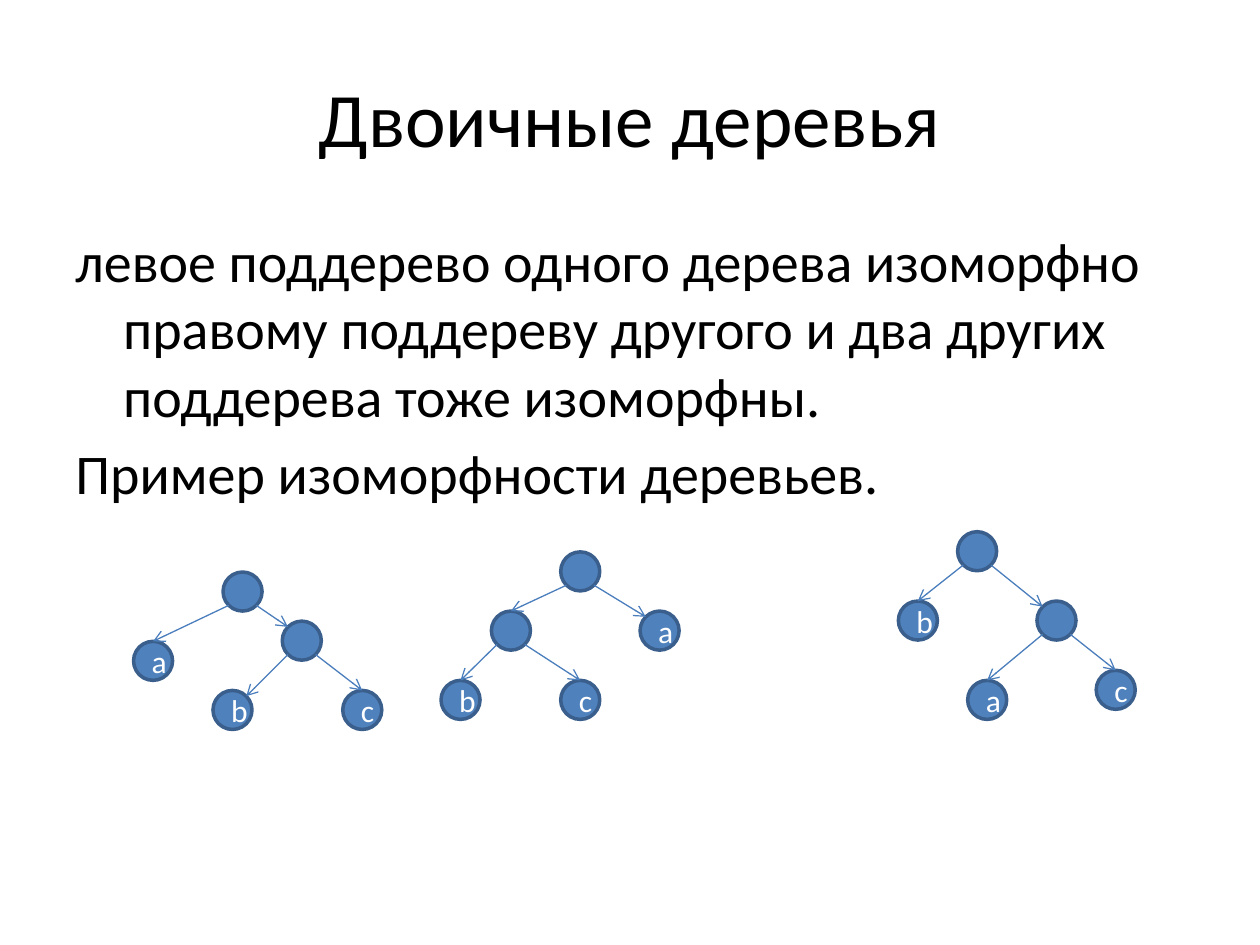
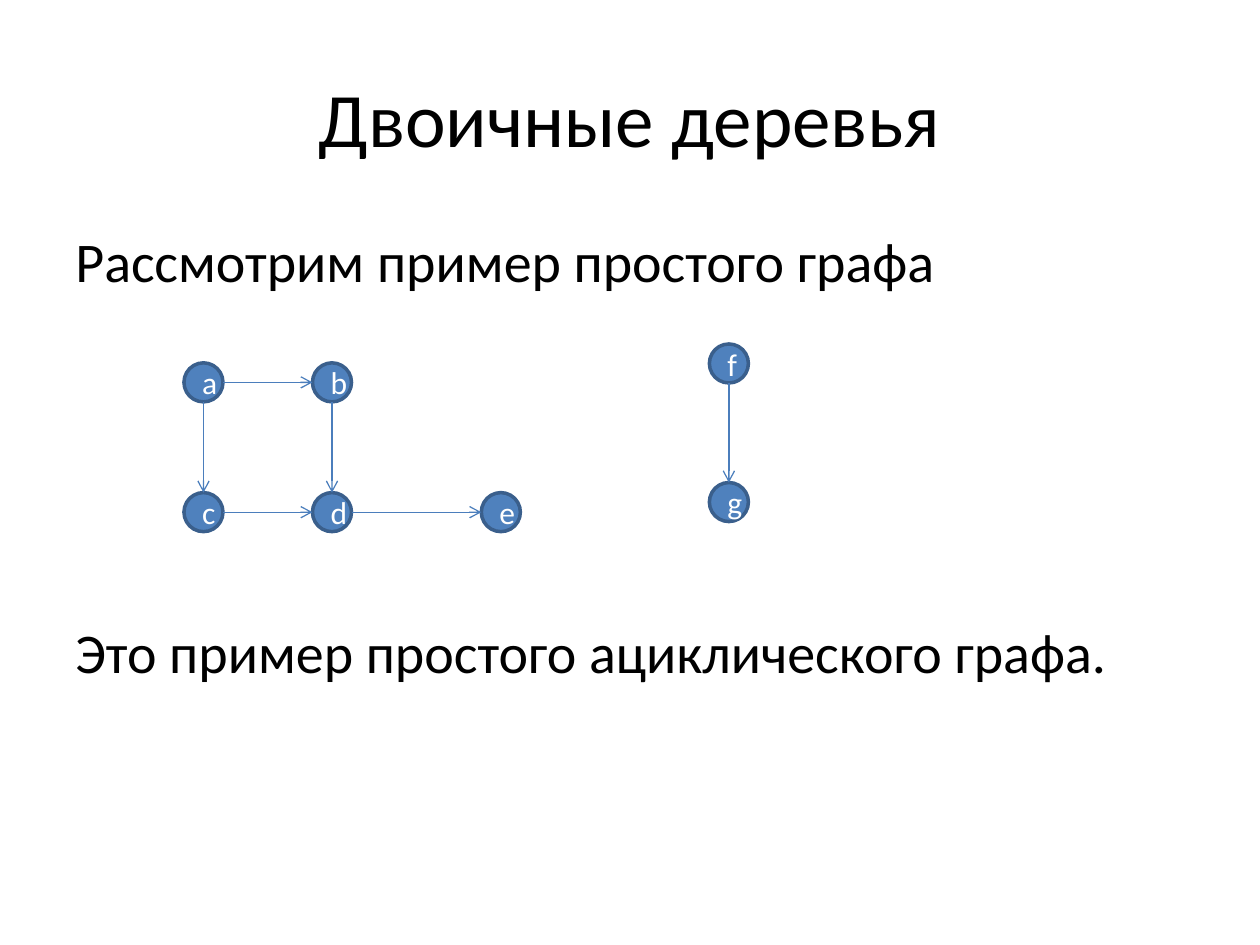
import math

from lxml import etree
from pptx import Presentation
from pptx import util as u
from pptx.dml.color import RGBColor
from pptx.enum import shapes, text
from pptx.oxml import ns

COLORS = {"text": "000000", "label": "FFFFFF", "node": "4F81BD",
          "outline": "3A5F8C", "edge": "4B7EBC"}
FONT = "Calibri"
TITLE = "Двоичные деревья"
DIAMETER = 0.31
HANGING = 0.38
PARAGRAPH_GAP = 6
DIAGRAM_GAP = 185

# Directions from a node's centre, in units of its radius
DIAGONAL = math.sqrt(0.5)
SITES = {
    "top": (0, -1), "bottom": (0, 1), "left": (-1, 0), "right": (1, 0),
    "top left": (-DIAGONAL, -DIAGONAL), "top right": (DIAGONAL, -DIAGONAL),
    "bottom left": (-DIAGONAL, DIAGONAL), "bottom right": (DIAGONAL, DIAGONAL),
}

# Each graph: nodes as name -> (left, top), edges as (start, site, end, site).
# Names of one letter are shown as labels.
SLIDES = [
    {
        "paragraphs": [
            ("левое поддерево одного дерева изоморфно правому поддереву "
             "другого и два других поддерева тоже изоморфны.", PARAGRAPH_GAP),
            ("Пример изоморфности деревьев.", PARAGRAPH_GAP),
        ],
        "graphs": [
            ({"root": (1.77, 4.54), "a": (1.06, 5.09), "inner": (2.24, 4.93),
              "c": (2.72, 5.48), "b": (1.69, 5.48)},
             [("root", "bottom left", "a", "top"),
              ("root", "bottom right", "inner", "top left"),
              ("inner", "bottom right", "c", "top"),
              ("inner", "bottom left", "b", "top right")]),
            ({"a": (5.08, 4.85), "c": (4.45, 5.4), "b": (3.5, 5.4),
              "inner": (3.9, 4.85), "root": (4.45, 4.38)},
             [("root", "bottom left", "inner", "top"),
              ("inner", "bottom left", "b", "top"),
              ("inner", "bottom right", "c", "top"),
              ("root", "bottom right", "a", "top left")]),
            ({"c": (8.7, 5.32), "a": (7.68, 5.4), "inner": (8.23, 4.77),
              "b": (7.13, 4.77), "root": (7.6, 4.22)},
             [("root", "bottom left", "b", "top"),
              ("root", "bottom right", "inner", "top left"),
              ("inner", "bottom left", "a", "top"),
              ("inner", "bottom right", "c", "top")]),
        ],
    },
    {
        "paragraphs": [
            ("Рассмотрим пример простого графа", PARAGRAPH_GAP),
            ("Это пример простого ациклического графа.", DIAGRAM_GAP),
        ],
        "graphs": [
            ({"a": (1.46, 2.88), "b": (2.48, 2.88), "c": (1.46, 3.91),
              "d": (2.48, 3.91), "e": (3.82, 3.91)},
             [("a", "bottom", "c", "top"), ("a", "right", "b", "left"),
              ("b", "bottom", "d", "top"), ("c", "right", "d", "left"),
              ("d", "right", "e", "left")]),
            ({"g": (5.63, 3.83), "f": (5.63, 2.73)},
             [("f", "bottom", "g", "top")]),
        ],
    },
]


def rgb(name):
    return RGBColor.from_string(COLORS[name])


def write(paragraph, words, size, color="text", align=text.PP_ALIGN.LEFT,
          before=0, hanging=0):
    paragraph.alignment = align
    paragraph.space_before = u.Pt(before)
    if hanging:
        properties = paragraph._p.get_or_add_pPr()
        properties.set("marL", str(u.Inches(hanging)))
        properties.set("indent", str(-u.Inches(hanging)))
    run = paragraph.add_run()
    run.text = words
    run.font.size = u.Pt(size)
    run.font.name = FONT
    run.font.color.rgb = rgb(color)


def add_frame(slide, left, top, width, height, anchor):
    box = slide.shapes.add_textbox(*map(u.Inches, (left, top, width, height)))
    frame = box.text_frame
    frame.word_wrap = True
    frame.vertical_anchor = anchor
    return frame


def add_title(slide):
    frame = add_frame(slide, 0.5, 0.3, 9, 1.25, text.MSO_ANCHOR.MIDDLE)
    write(frame.paragraphs[0], TITLE, 44, align=text.PP_ALIGN.CENTER)


def add_body(slide, paragraphs):
    frame = add_frame(slide, 0.5, 1.75, 9, 4.95, text.MSO_ANCHOR.TOP)
    for index, (words, before) in enumerate(paragraphs):
        paragraph = frame.add_paragraph() if index else frame.paragraphs[0]
        write(paragraph, words, 32, before=before, hanging=HANGING)


def add_node(slide, name, left, top):
    node = slide.shapes.add_shape(
        shapes.MSO_SHAPE.OVAL,
        *map(u.Inches, (left, top, DIAMETER, DIAMETER)))
    node.shadow.inherit = False
    node.fill.solid()
    node.fill.fore_color.rgb = rgb("node")
    node.line.color.rgb = rgb("outline")
    node.line.width = u.Pt(2)
    if len(name) == 1:
        node.text_frame.word_wrap = True
        node.text_frame.vertical_anchor = text.MSO_ANCHOR.MIDDLE
        write(node.text_frame.paragraphs[0], name, 18, color="label",
              align=text.PP_ALIGN.CENTER)


def site_point(position, site):
    radius = DIAMETER / 2
    return [u.Inches(edge + radius * (1 + direction))
            for edge, direction in zip(position, SITES[site])]


def add_edge(slide, start, end):
    edge = slide.shapes.add_connector(
        shapes.MSO_CONNECTOR.STRAIGHT, *start, *end)
    edge.line.color.rgb = rgb("edge")
    edge.line.width = u.Pt(0.75)
    arrowhead = etree.SubElement(edge.line._get_or_add_ln(), ns.qn("a:tailEnd"))
    arrowhead.set("type", "arrow")
    etree.SubElement(edge._element.spPr, ns.qn("a:effectLst"))


def add_graph(slide, nodes, edges):
    for name, position in nodes.items():
        add_node(slide, name, *position)
    for start, start_site, end, end_site in edges:
        add_edge(slide, site_point(nodes[start], start_site),
                 site_point(nodes[end], end_site))


def main():
    deck = Presentation()
    deck.slide_width, deck.slide_height = u.Inches(10), u.Inches(7.5)
    for content in SLIDES:
        slide = deck.slides.add_slide(deck.slide_layouts[6])
        add_title(slide)
        add_body(slide, content["paragraphs"])
        for nodes, edges in content["graphs"]:
            add_graph(slide, nodes, edges)
    deck.save("out.pptx")


if __name__ == "__main__":
    main()
